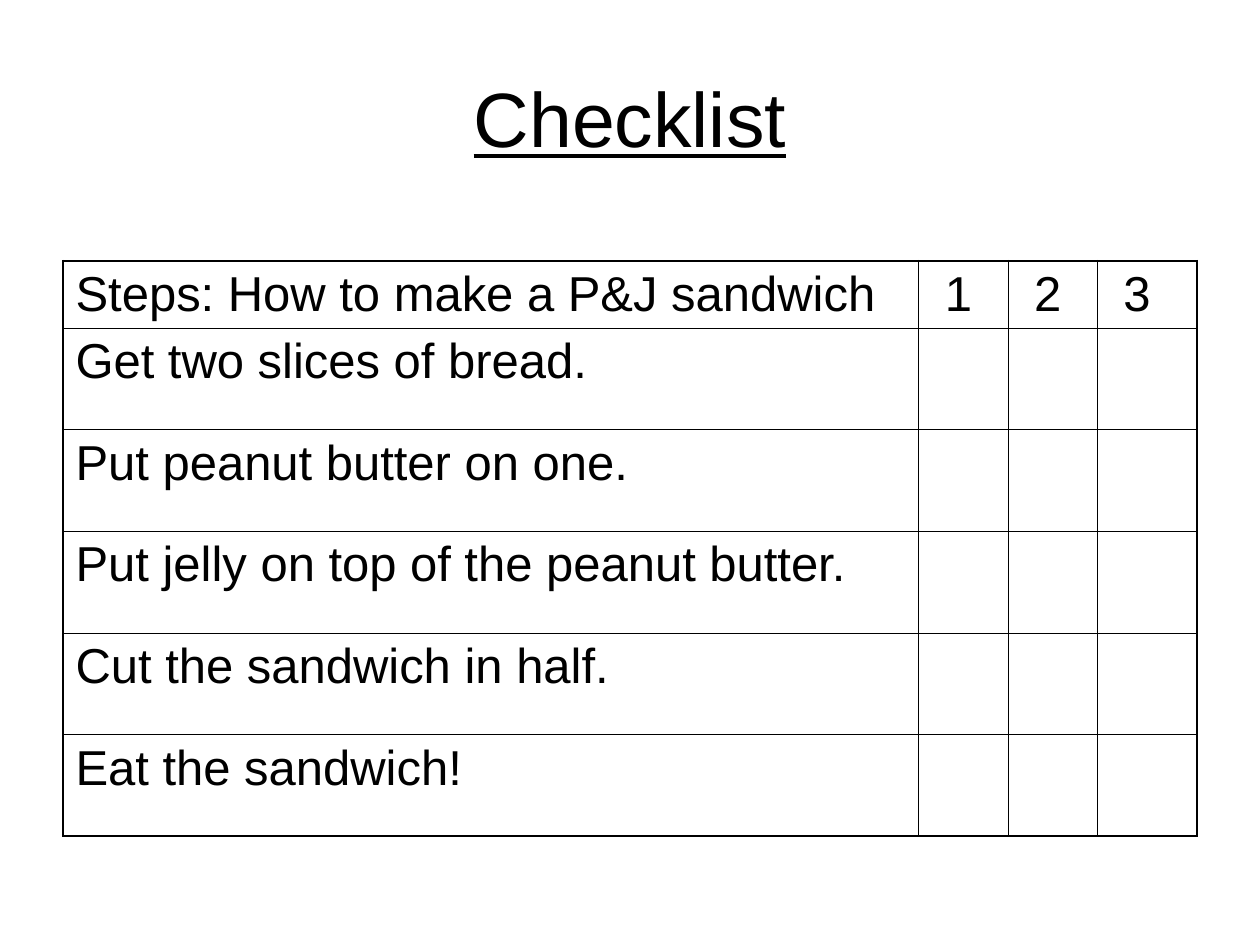
from lxml.etree import SubElement
from pptx import Presentation
from pptx.dml.color import RGBColor
from pptx.enum.text import MSO_ANCHOR, PP_ALIGN
from pptx.oxml.ns import qn
from pptx.util import Pt

MIDDLE, TOP = MSO_ANCHOR.MIDDLE, MSO_ANCHOR.TOP
CENTER, LEFT = PP_ALIGN.CENTER, PP_ALIGN.LEFT
INK, PAPER = "000000", "FFFFFF"
THIN, THICK = 0.45, 1.08
WIDTHS = [489, 51, 51, 57]
HEAD, STEP = 38.5, 58.1
STEPS = [
    "Get two slices of bread.",
    "Put peanut butter on one.",
    "Put jelly on top of the peanut butter.",
    "Cut the sandwich in half.",
    "Eat the sandwich!",
]
ROWS = [["Steps: How to make a P&J sandwich", "1", "2", "3"]]
ROWS += [[step, "", "", ""] for step in STEPS]


def color(code):
    """Turn a hex string into a colour."""
    return RGBColor.from_string(code)


def style(item, values):
    """Set each named value on an object."""
    for name, value in values.items():
        setattr(item, name, value)


def write(para, text, size, align, **more):
    """Write one run of Arial text into a paragraph."""
    para.alignment = align
    run = para.add_run()
    run.text = text
    style(run.font, {"name": "Arial", "size": Pt(size), **more})
    run.font.color.rgb = color(INK)


def border(cell, sides):
    """Draw the cell borders, given as widths by side."""
    props = cell._tc.get_or_add_tcPr()
    for side, width in sides.items():
        line = SubElement(props, qn("a:ln" + side), w=str(int(Pt(width))))
        fill = SubElement(line, qn("a:solidFill"))
        SubElement(fill, qn("a:srgbClr"), val=INK)


def add_title(slide, box):
    """Place the underlined heading."""
    title = slide.shapes.title
    names = ("left", "top", "width", "height")
    style(title, dict(zip(names, map(Pt, box))))
    style(title.text_frame, {"vertical_anchor": MIDDLE, "word_wrap": True})
    write(title.text_frame.paragraphs[0], "Checklist", 44, CENTER,
          underline=True)


def add_steps(slide, box):
    """Place the table of steps with its tick columns."""
    last, end = len(ROWS) - 1, len(WIDTHS) - 1
    frame = slide.shapes.add_table(last + 1, end + 1, *map(Pt, box))
    table = frame.table
    style(table, {"first_row": False, "horz_banding": False})
    for col, width in zip(table.columns, WIDTHS):
        col.width = Pt(width)
    for r, texts in enumerate(ROWS):
        table.rows[r].height = Pt(STEP if r else HEAD)
        for c, text in enumerate(texts):
            cell = table.cell(r, c)
            border(cell, {
                "L": THIN if c else THICK,
                "R": THICK if c == end else THIN,
                "T": THIN if r else THICK,
                "B": THICK if r == last else THIN,
            })
            cell.fill.solid()
            cell.fill.fore_color.rgb = color(PAPER)
            style(cell, {
                "margin_left": Pt(15 if c else 7.2),
                "margin_right": Pt(7.2),
                "margin_top": Pt(3.6),
                "margin_bottom": Pt(3.6),
                "vertical_anchor": TOP,
            })
            if text:
                para = cell.text_frame.paragraphs[0]
                para.space_before = Pt(7)
                write(para, text, 28, LEFT)


def main():
    """Build the checklist slide and save it."""
    deck = Presentation()
    style(deck, {"slide_width": Pt(720), "slide_height": Pt(540)})
    slide = deck.slides.add_slide(deck.slide_layouts[5])
    add_title(slide, (36, 21.6, 648, 90))
    add_steps(slide, (36, 149, sum(WIDTHS), HEAD + STEP * len(STEPS)))
    deck.save("out.pptx")


if __name__ == "__main__":
    main()
